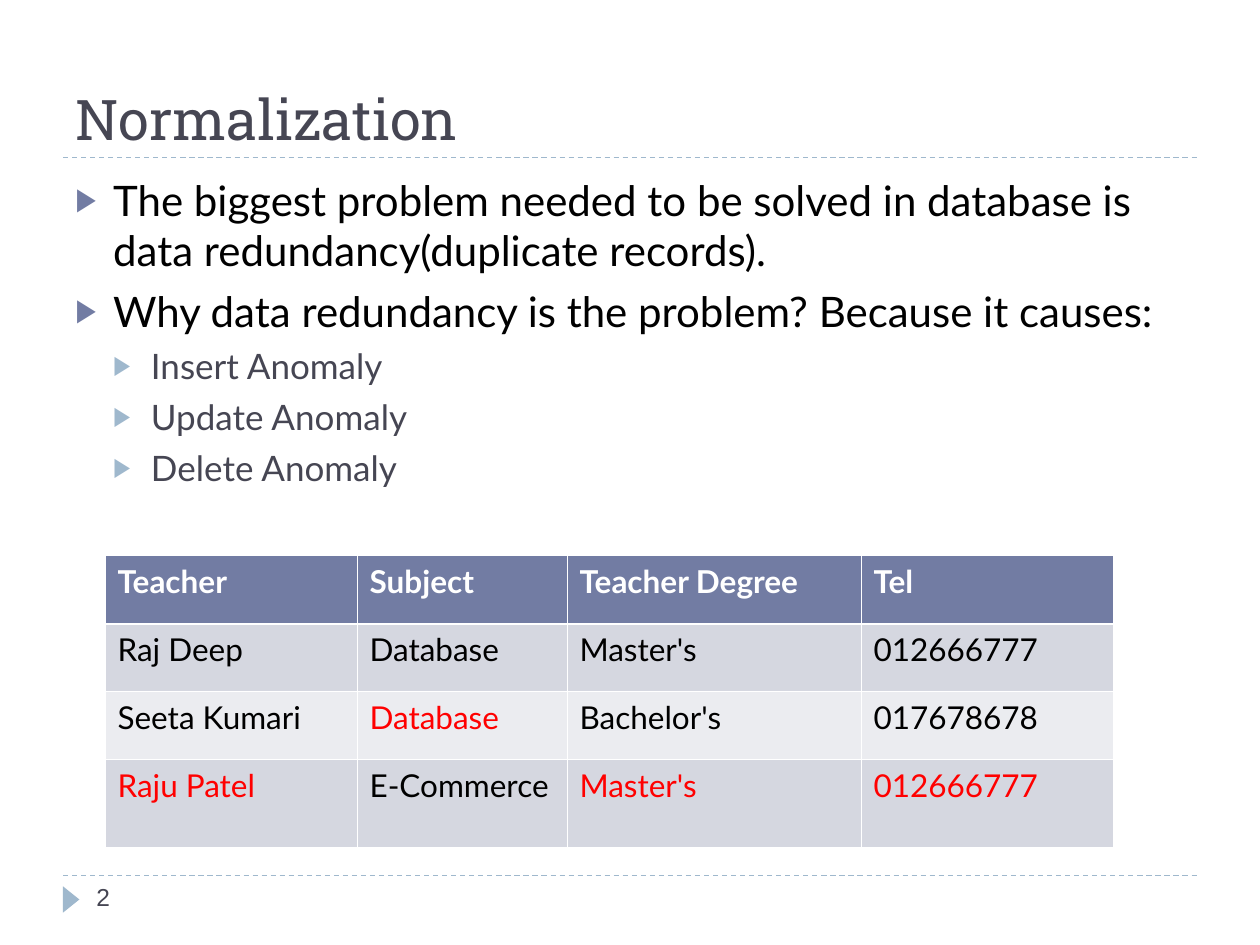
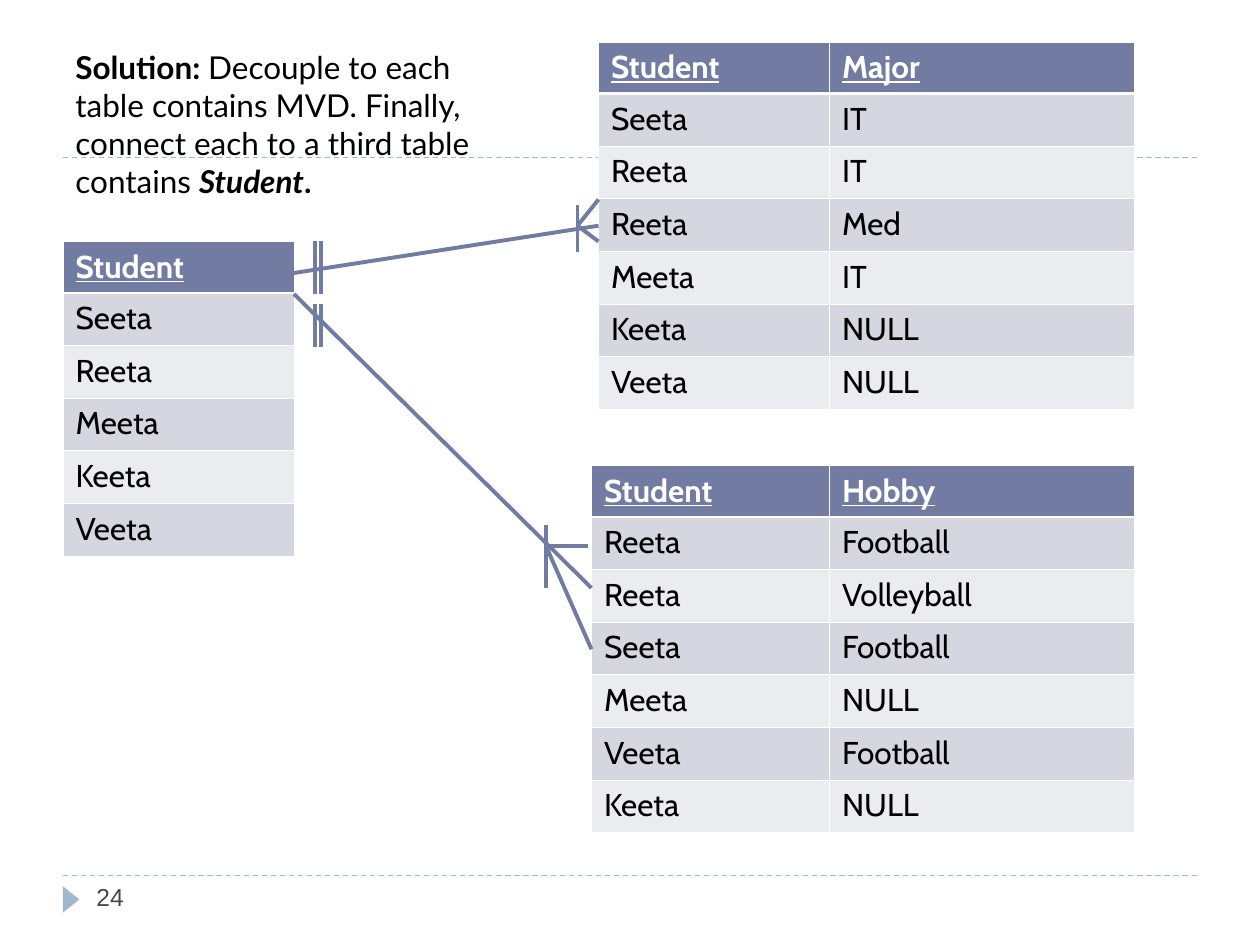
from collections import namedtuple
from dataclasses import dataclass

from lxml import etree
from pptx import Presentation, util as u
from pptx.dml import color
from pptx.enum import dml, shapes, text
from pptx.oxml import ns

Pt = u.Pt
Box = namedtuple("Box", "left top width height")


@dataclass(frozen=True)
class Theme:
    """Colours, fonts and type sizes of the deck."""
    ink: str = "000000"
    paper: str = "FFFFFF"
    slate: str = "464653"
    indigo: str = "727CA3"
    mist: str = "9FB8CD"
    alert: str = "FF0000"
    bands: tuple = ("EBECF0", "D5D7E0")
    title_font: str = "Roboto Slab"
    body_font: str = "Lato"
    grid_font: str = "Cabin"
    number_font: str = "Arial"
    title_size: int = 32
    point_size: int = 24
    subpoint_size: int = 20
    text_size: int = 18
    number_size: int = 14


THEME = Theme()
FOOTER = Box(36, 500.4, 648, 28.8)
RULE_TOP = 90


def rgb(value):
    """Turn a hex string into a colour."""
    return color.RGBColor.from_string(value)


def style(run, font, size, ink, bold=False, italic=False, underline=False):
    """Format one run."""
    run.font.name, run.font.size = font, Pt(size)
    run.font.color.rgb = rgb(ink)
    run.font.bold, run.font.italic, run.font.underline = bold, italic, underline


def add_frame(slide, box, anchor=text.MSO_ANCHOR.TOP):
    """Add a wrapping text box and return its text frame."""
    frame = slide.shapes.add_textbox(*map(Pt, box)).text_frame
    frame.word_wrap = True
    frame.vertical_anchor = anchor
    return frame


def add_line(slide, start, end, ink, width, dash=None):
    """Draw a straight line without a shadow."""
    line = slide.shapes.add_connector(
        shapes.MSO_CONNECTOR.STRAIGHT, *map(Pt, (*start, *end)))
    line.line.color.rgb = rgb(ink)
    line.line.width = Pt(width)
    if dash:
        line.line.dash_style = dash
    etree.SubElement(line._element.spPr, ns.qn("a:effectLst"))


def add_footer(slide, box, number):
    """Draw the two dashed rules, the marker and the slide number."""
    for y in (box.top, RULE_TOP):
        add_line(slide, (box.left, y), (box.left + box.width, y),
                 THEME.mist, 0.75, dml.MSO_LINE.DASH)
    marker = slide.shapes.add_shape(
        shapes.MSO_SHAPE.ISOSCELES_TRIANGLE,
        Pt(box.left - 2.9), Pt(box.top + 8.9), Pt(15.1), Pt(9.4))
    marker.rotation = 90
    marker.shadow.inherit = False
    marker.fill.solid()
    marker.fill.fore_color.rgb = rgb(THEME.mist)
    marker.line.fill.background()
    frame = add_frame(slide, Box(box.left + 12, box.top, 156, box.height))
    frame.text = str(number)
    style(frame.paragraphs[0].runs[0], THEME.number_font, THEME.number_size, THEME.slate)


def add_title(slide, box, title):
    """Set the slide title on the bottom of its box."""
    frame = add_frame(slide, box, text.MSO_ANCHOR.BOTTOM)
    frame.text = title
    style(frame.paragraphs[0].runs[0], THEME.title_font, THEME.title_size, THEME.slate)


def add_bullet(paragraph, level, ink):
    """Give a paragraph its indent and arrow bullet."""
    props = paragraph._p.get_or_add_pPr()
    props.set("marL", str(Pt(21.6 * (level + 1))))
    props.set("indent", str(Pt(-21.6)))
    holder = etree.SubElement(props, ns.qn("a:buClr"))
    etree.SubElement(holder, ns.qn("a:srgbClr"), val=ink)
    etree.SubElement(props, ns.qn("a:buSzPct"), val="76000")
    etree.SubElement(props, ns.qn("a:buFont"), typeface=THEME.number_font)
    etree.SubElement(props, ns.qn("a:buChar"), char="▶")


def add_points(slide, box, points):
    """Write the two-level bullet list."""
    levels = ((THEME.point_size, THEME.ink, THEME.indigo, 6),
              (THEME.subpoint_size, THEME.slate, THEME.mist, 5))
    frame = add_frame(slide, box)
    for index, (level, point) in enumerate(points):
        size, ink, arrow, gap = levels[level]
        paragraph = frame.add_paragraph() if index else frame.paragraphs[0]
        paragraph.text = point
        paragraph.level = level
        if index:
            paragraph.space_before = Pt(gap)
        add_bullet(paragraph, level, arrow)
        style(paragraph.runs[0], THEME.body_font, size, ink)


def add_borders(cell, row):
    """Rule a cell in white, thicker below the header."""
    widths = {"L": 0.45, "R": 0.45,
              "T": 1.47 if row == 1 else 0.45, "B": 1.47 if row == 0 else 0.45}
    props = cell._tc.get_or_add_tcPr()
    for place, (side, width) in enumerate(widths.items()):
        edge = etree.Element(ns.qn(f"a:ln{side}"), w=str(Pt(width)))
        fill = etree.SubElement(edge, ns.qn("a:solidFill"))
        etree.SubElement(fill, ns.qn("a:srgbClr"), val=THEME.paper)
        props.insert(place, edge)


def add_grid(slide, box, records, columns, heights, font, underline=False, alerts=()):
    """Draw a banded table whose first record is the header."""
    grid = slide.shapes.add_table(len(records), len(columns), *map(Pt, box)).table
    for column, width in zip(grid.columns, columns):
        column.width = Pt(width)
    for row, (record, height) in enumerate(zip(records, heights)):
        grid.rows[row].height = Pt(height)
        header = row == 0
        for column, value in enumerate(record):
            cell = grid.cell(row, column)
            cell.text_frame.text = value
            ink = THEME.alert if (row, column) in alerts else THEME.ink
            style(cell.text_frame.paragraphs[0].runs[0], font, THEME.text_size,
                  THEME.paper if header else ink, header, underline=header and underline)
            cell.fill.solid()
            cell.fill.fore_color.rgb = rgb(THEME.indigo if header else THEME.bands[row % 2])
            add_borders(cell, row)


def add_key_grid(slide, left, top, columns, records):
    """Draw a table with underlined keys and even rows."""
    heights = [29.4] + [30.1] * (len(records) - 1)
    add_grid(slide, Box(left, top, sum(columns), sum(heights)), records, columns,
             heights, THEME.grid_font, underline=True)


def add_relation(slide, box, trunk, node, toes, bar, ticks):
    """Draw a one-to-many link with its crow's foot and double tick."""
    strokes = [trunk, *((node, toe) for toe in toes)]
    strokes.append(tuple((node[0], y) for y in bar))
    strokes += [tuple((x, y) for y in ticks) for x in (12, 15.6)]
    for stroke in strokes:
        start, end = ((box.left + x, box.top + y) for x, y in stroke)
        add_line(slide, start, end, THEME.indigo, 2.25)


def add_solution(slide, box, pieces):
    """Write the solution as one paragraph of mixed emphasis."""
    paragraph = add_frame(slide, box).paragraphs[0]
    for piece, bold, italic in pieces:
        run = paragraph.add_run()
        run.text = piece
        style(run, THEME.body_font, THEME.text_size, THEME.ink, bold, italic)


def build_normalization(slide):
    """Build the slide on data redundancy."""
    add_footer(slide, FOOTER, 2)
    add_title(slide, Box(36, 12, 648, 78), "Normalization")
    add_points(slide, Box(36, 96, 648, 388.8), [
        (0, "The biggest problem needed to be solved in database is "
            "data redundancy(duplicate records)."),
        (0, "Why data redundancy is the problem? Because it causes:"),
        (1, "Insert Anomaly"),
        (1, "Update Anomaly"),
        (1, "Delete Anomaly"),
    ])
    add_grid(slide, Box(60, 317.5, 576, 167), [
        ("Teacher", "Subject", "Teacher Degree", "Tel"),
        ("Raj Deep", "Database", "Master's", "012666777"),
        ("Seeta Kumari", "Database", "Bachelor's", "017678678"),
        ("Raju Patel", "E-Commerce", "Master's", "012666777"),
    ], (144, 120, 168, 144), (38.9, 38.9, 38.9, 50.3), THEME.body_font,
        alerts={(2, 1), (3, 0), (3, 2), (3, 3)})


def build_solution(slide):
    """Build the slide that splits the table in three."""
    add_footer(slide, FOOTER, 24)
    add_key_grid(slide, 342, 24, (132, 174), [
        ("Student", "Major"), ("Seeta", "IT"), ("Reeta", "IT"), ("Reeta", "Med"),
        ("Meeta", "IT"), ("Keeta", "NULL"), ("Veeta", "NULL")])
    add_key_grid(slide, 338, 266, (136, 174), [
        ("Student", "Hobby"), ("Reeta", "Football"), ("Reeta", "Volleyball"),
        ("Seeta", "Football"), ("Meeta", "NULL"), ("Veeta", "Football"),
        ("Keeta", "NULL")])
    add_key_grid(slide, 36, 138, (132,), [
        ("Student",), ("Seeta",), ("Reeta",), ("Meeta",), ("Keeta",), ("Veeta",)])
    add_relation(slide, Box(168, 114, 174, 54), trunk=((0, 42), (174, 15)),
                 node=(162, 15), toes=[(174, 0), (174, 24)], bar=(3.4, 30),
                 ticks=(24, 54))
    add_relation(slide, Box(168, 168, 170, 203), trunk=((0, 0), (170, 168)),
                 node=(144, 144), toes=[(168, 144), (170, 203)], bar=(132, 168),
                 ticks=(6, 30))
    add_solution(slide, Box(36, 24, 264, 93.6), [
        ("Solution: ", True, False),
        ("Decouple to each table contains MVD. Finally, connect each to a "
         "third table contains ", False, False),
        ("Student", True, True),
        (".", True, False),
    ])


def main():
    """Build and save the deck."""
    deck = Presentation()
    deck.slide_width, deck.slide_height = Pt(720), Pt(540)
    for build in (build_normalization, build_solution):
        build(deck.slides.add_slide(deck.slide_layouts[6]))
    deck.save("out.pptx")


if __name__ == "__main__":
    main()
